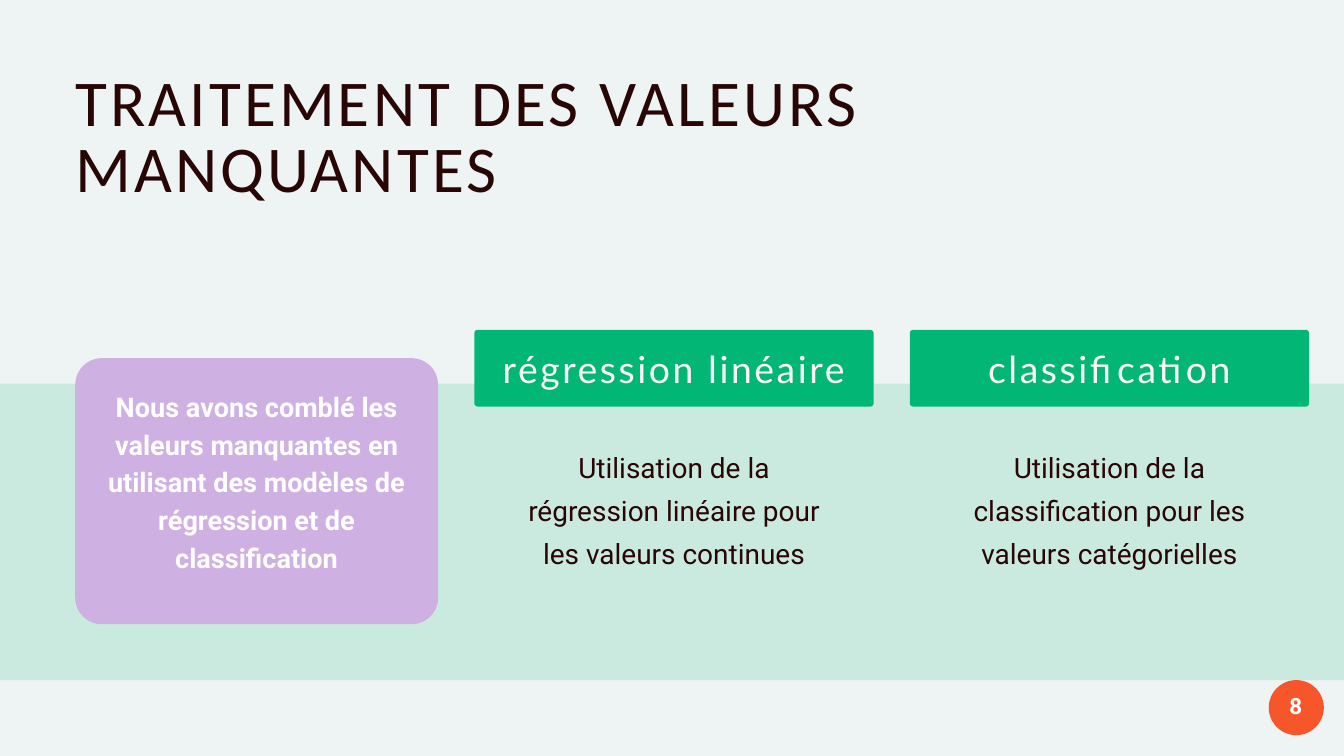
import pptx
import pptx.util
import pptx.dml.color
import pptx.enum.shapes
import pptx.enum.text
import pptx.oxml.ns
import lxml.etree

PX = 9144  # 100 px to the inch
Pt = pptx.util.Pt
Kind = pptx.enum.shapes.MSO_SHAPE
Align = pptx.enum.text.PP_ALIGN
Anchor = pptx.enum.text.MSO_ANCHOR


class Theme:
    page = "EEF4F3"
    green = "02B676"
    lilac = "CFB0E2"
    orange = "F7562B"
    dark = "290606"
    white = "FFFFFF"
    cream = "FDF8F8"
    title = dict(font="Calibri", size=70, lead=70, color=dark, track=3.4)
    head = dict(font="Lato", size=40, lead=41.2, color=cream, track=2.8)
    body = dict(font="Roboto", size=30, lead=46.2, color=dark)
    card = dict(font="Roboto", size=29, lead=40.6, color=white, bold=True)
    page_no = dict(font="Roboto", size=24, lead=24, color=white, bold=True, track=1.2)


TITLE = "TRAITEMENT DES VALEURS MANQUANTES"
CARD = ("Nous avons comblé les valeurs manquantes en utilisant "
        "des modèles de régression et de classification")
METHODS = [
    ("régression linéaire",
     "Utilisation de la régression linéaire pour les valeurs continues"),
    ("classification",
     "Utilisation de la classification pour les valeurs catégorielles"),
]
NUMBER = "8"

LEFT = 112
GAP = 54
CARD_W = 540
TAB_W, TAB_H, TAB_TOP = 594, 114, 491
BODY_W, BODY_H, BODY_TOP = 488, 256, 656


def place(box):
    return [n * PX for n in box]


def paint(slide, kind, box, color, alpha=None, corner=None):
    """Add a filled shape without outline; alpha and corner are fractions."""
    shape = slide.shapes.add_shape(kind, *place(box))
    shape.shadow.inherit = False
    shape.line.fill.background()
    shape.fill.solid()
    shape.fill.fore_color.rgb = pptx.dml.color.RGBColor.from_string(color)
    if corner is not None:
        shape.adjustments[0] = corner
    if alpha is not None:
        tag = next(shape.fill._xPr.iter(pptx.oxml.ns.qn("a:srgbClr")))
        node = lxml.etree.SubElement(tag, pptx.oxml.ns.qn("a:alpha"))
        node.set("val", str(round(alpha * 100000)))


def write(slide, words, box, font, size, lead, color, bold=False, track=0,
          align=Align.CENTER, anchor=Anchor.MIDDLE, inset=6):
    """Add a text box; lead and track are line and letter spacing in points."""
    frame = slide.shapes.add_textbox(*place(box)).text_frame
    frame.word_wrap = True
    frame.vertical_anchor = anchor
    frame.margin_left = frame.margin_right = inset * PX
    frame.margin_top = frame.margin_bottom = inset * PX
    para = frame.paragraphs[0]
    para.alignment = align
    para.line_spacing = Pt(lead)
    run = para.add_run()
    run.text = words
    run.font.name = font
    run.font.size = Pt(size)
    run.font.bold = bold
    run.font.color.rgb = pptx.dml.color.RGBColor.from_string(color)
    if track:
        run.font._element.set("spc", str(round(track * 100)))


def main():
    deck = pptx.Presentation()
    deck.slide_width, deck.slide_height = 2000 * PX, 1125 * PX
    slide = deck.slides.add_slide(deck.slide_layouts[6])
    back = slide.background.fill
    back.solid()
    back.fore_color.rgb = pptx.dml.color.RGBColor.from_string(Theme.page)

    paint(slide, Kind.RECTANGLE, (-43, 571, 2086, 441), Theme.green, alpha=0.15)
    write(slide, TITLE, (LEFT, 111, 1188, 214), **Theme.title,
          align=Align.LEFT, anchor=Anchor.TOP, inset=0)

    paint(slide, Kind.ROUNDED_RECTANGLE, (LEFT, 533, CARD_W, 396),
          Theme.lilac, corner=0.1)
    write(slide, CARD, (LEFT, 498, CARD_W, 431), **Theme.card)

    start = LEFT + CARD_W + GAP
    for i, (head, body) in enumerate(METHODS):
        x = start + i * (TAB_W + GAP)
        paint(slide, Kind.ROUNDED_RECTANGLE, (x, TAB_TOP, TAB_W, TAB_H),
              Theme.green, corner=0.04)
        write(slide, head, (x, TAB_TOP + 10, TAB_W, TAB_H - 10), **Theme.head)
        write(slide, body, (x + (TAB_W - BODY_W) // 2, BODY_TOP, BODY_W, BODY_H),
              **Theme.body, anchor=Anchor.TOP, inset=0)

    paint(slide, Kind.OVAL, (1888, 1012, 82, 82), Theme.orange)
    write(slide, NUMBER, (1895, 1021, 67, 66), **Theme.page_no)
    deck.save("out.pptx")


if __name__ == "__main__":
    main()
